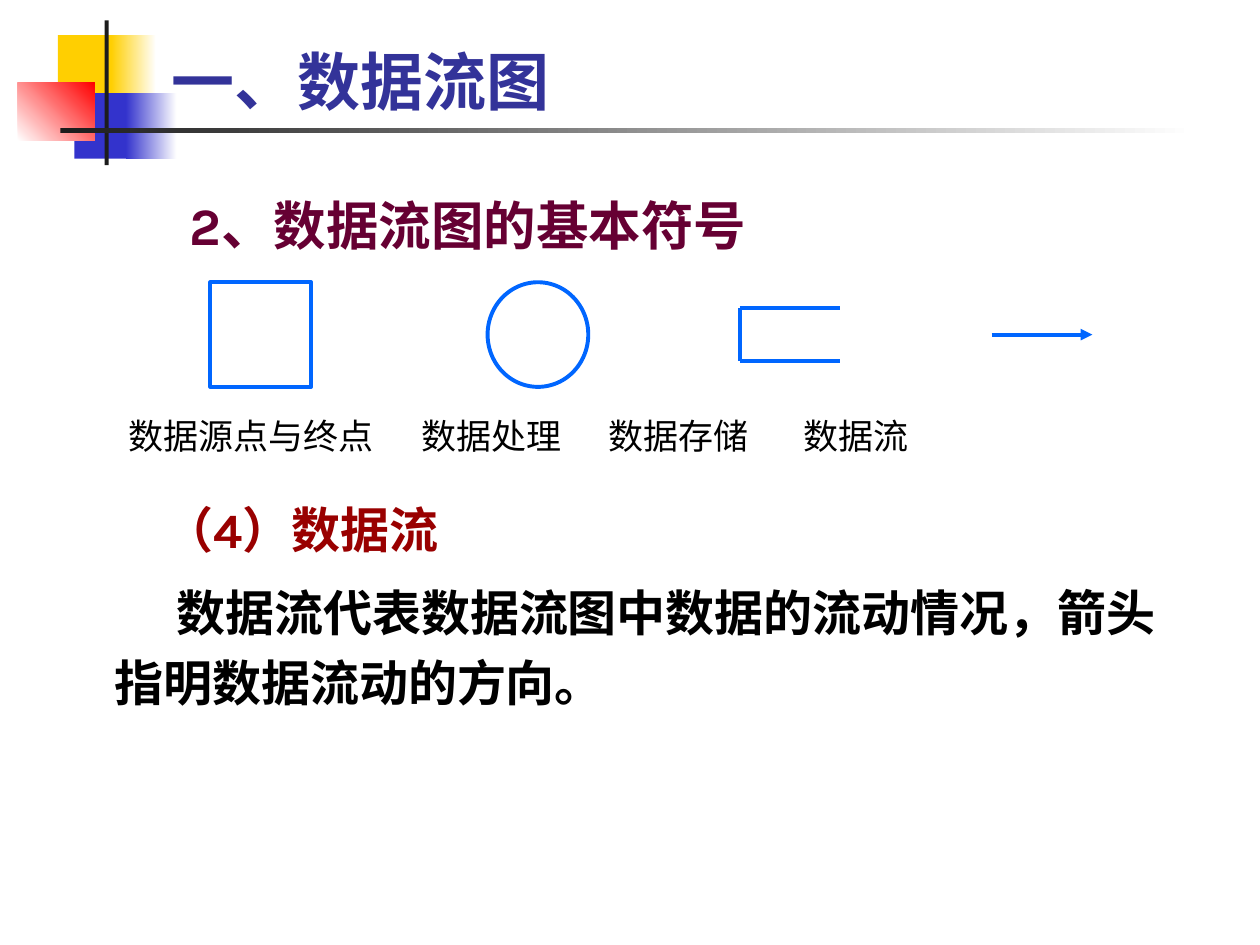
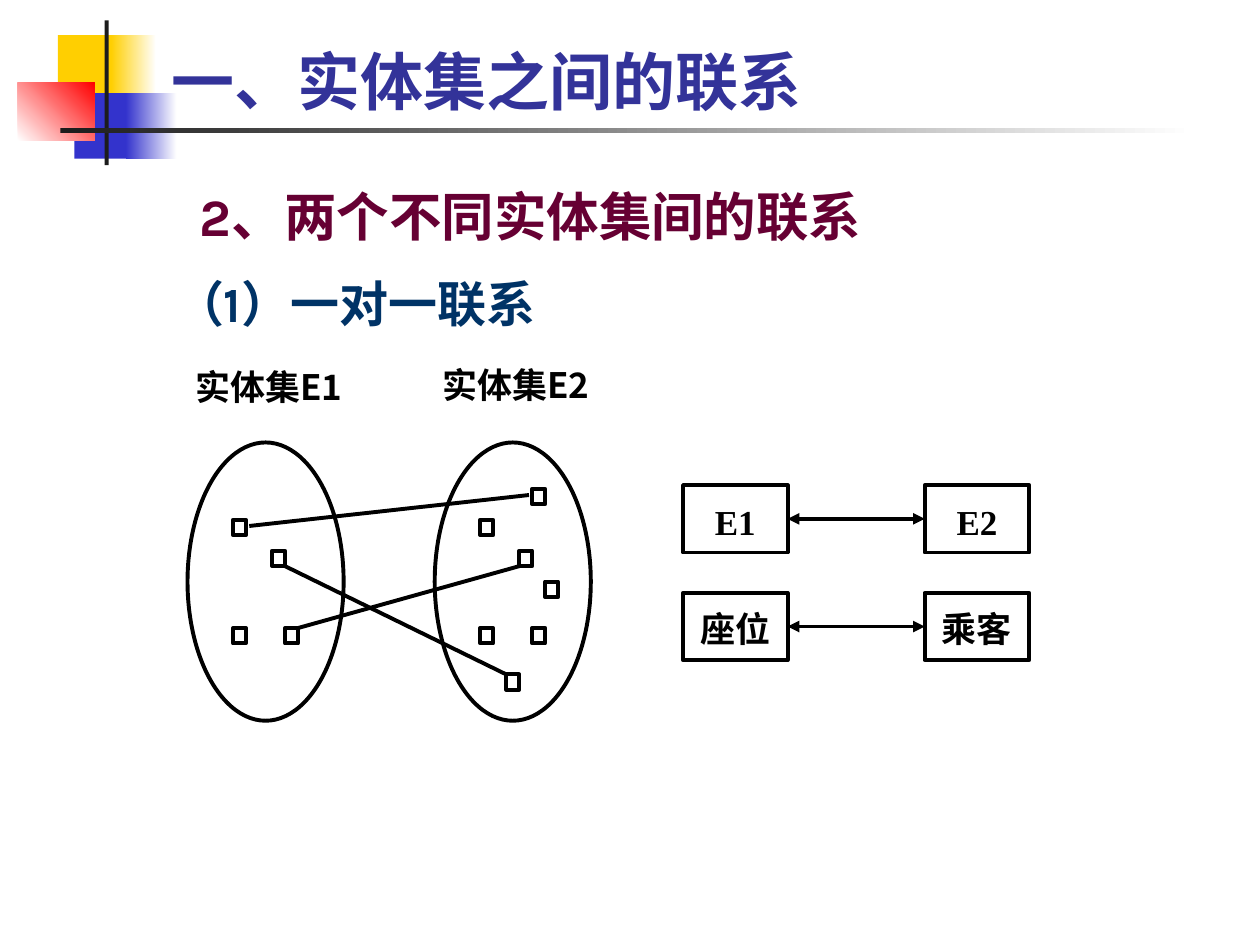
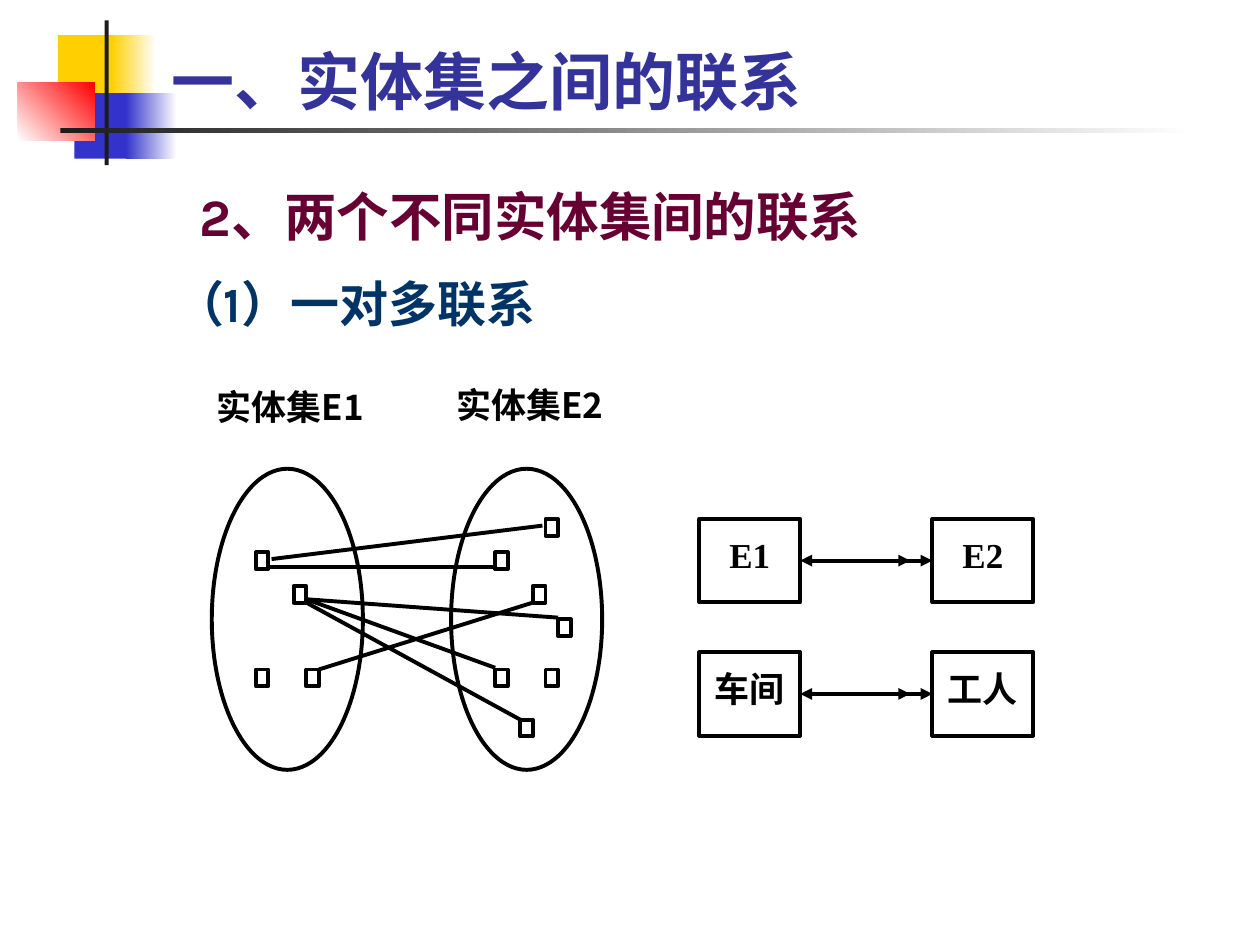
from lxml import etree
from pptx import Presentation
from pptx.dml.color import RGBColor
from pptx.enum.shapes import MSO_CONNECTOR, MSO_SHAPE
from pptx.enum.text import MSO_ANCHOR, PP_ALIGN
from pptx.oxml.ns import qn
from pptx.util import Cm, Pt

RECT, OVAL = MSO_SHAPE.RECTANGLE, MSO_SHAPE.OVAL
LINE = MSO_CONNECTOR.STRAIGHT
LEFT, MID = PP_ALIGN.LEFT, PP_ALIGN.CENTER
TOP, BASE = MSO_ANCHOR.TOP, MSO_ANCHOR.BOTTOM

INK = {
    "black": "000000", "white": "FFFFFF", "dark": "1C1C1C",
    "gold": "FFCF01", "blue": "3333CC", "red": "FF0000",
    "title": "333399", "plum": "660033", "brick": "990000",
    "navy": "003366", "sky": "0066FF",
}
KARLA, SANS, TIMES = "Karla", "Noto Sans CJK SC", "Times New Roman"
PEN = 2.25
PAD = (0.25, 0.13, 0.25, 0.13)

# Points of each entity set, on a grid of 12 by 18 cells per oval
COLS, ROWS, STEP = 12, 18, 19
FIRST = [(3.5, 5), (6.5, 7), (7.5, 12), (3.5, 12)]
SECOND = FIRST + [(8.5, 9), (7.5, 3), (5.5, 15)]
PAIRS = [(4.75, 5.4, 26.25, 3.4), (7.5, 8, 24.5, 15), (8.5, 12, 25.5, 8)]
MORE = [(4.5, 5.85, 22.5, 5.85), (7.5, 7.8, 22.5, 11.9),
        (7.5, 7.8, 27.5, 8.9)]


def tint(name):
    return RGBColor.from_string(INK[name])


# Basic parts
def add_run(para, text, size, ink, font=KARLA, bold=True):
    run = para.add_run()
    run.text = text
    run.font.size = Pt(size)
    run.font.bold = bold
    run.font.name = font
    run.font.color.rgb = tint(ink)
    face = etree.SubElement(run.font._element, qn("a:ea"))
    face.set("typeface", SANS)


def set_frame(frame, pad=PAD, anchor=TOP):
    frame.word_wrap = True
    frame.vertical_anchor = anchor
    (frame.margin_left, frame.margin_top,
     frame.margin_right, frame.margin_bottom) = map(Cm, pad)
    return frame


def add_text(slide, box, pad=PAD):
    area = slide.shapes.add_textbox(*map(Cm, box))
    return set_frame(area.text_frame, pad)


def indent(para, left, first=0, space=1.2, before=0):
    props = para._p.get_or_add_pPr()
    props.set("marL", str(Cm(left)))
    props.set("indent", str(Cm(first)))
    para.line_spacing = space
    para.space_before = Pt(before)


def add_form(slide, kind, box, fill=None, line=None):
    form = slide.shapes.add_shape(kind, *map(Cm, box))
    form.shadow.inherit = False
    if fill:
        form.fill.solid()
        form.fill.fore_color.rgb = tint(fill)
    else:
        form.fill.background()
    if line:
        form.line.color.rgb = tint(line)
        form.line.width = Pt(PEN)
    else:
        form.line.fill.background()
    return form


def add_line(slide, ends, ink="black", heads=()):
    link = slide.shapes.add_connector(LINE, *map(Cm, ends))
    link.line.color.rgb = tint(ink)
    link.line.width = Pt(PEN)
    props = link.element.spPr
    for head in heads:
        tip = etree.SubElement(props.find(qn("a:ln")), qn(head))
        tip.set("type", "triangle")
    etree.SubElement(props, qn("a:effectLst"))
    return link


# Shared look: colour blocks on the layout, title on each slide
def draw_bands(slide):
    bands = [
        ((1.17, 0.71, 1.22, 1.32), "gold", None, 0),
        ((2.24, 0.71, 0.91, 1.32), "gold", "white", 0),
        ((1.5, 1.88, 1.17, 1.32), "blue", None, 0),
        ((2.54, 1.88, 1.02, 1.32), "blue", "white", 0),
        ((0.36, 1.67, 1.55, 1.17), "white", "red", 45),
        ((2.11, 0.41, 0.08, 2.92), "dark", None, 0),
        ((1.22, 2.59, 22.86, 0.1), "dark", "white", 0),
    ]
    tree = slide.slide_layout.shapes.element
    for num, (box, ink, fade, turn) in enumerate(bands, 20):
        band = add_form(slide, RECT, box, ink)
        if fade:
            band.fill.gradient()
            band.fill.gradient_angle = turn
            for stop, name in zip(band.fill.gradient_stops, (ink, fade)):
                stop.color.rgb = tint(name)
        band.element.nvSpPr.cNvPr.set("id", str(num))
        tree.append(band.element)


def add_slide(deck, text):
    slide = deck.slides.add_slide(deck.slide_layouts[5])
    title = slide.shapes.title
    title.left, title.top, title.width, title.height = map(
        Cm, (3.2, 0.2, 21.64, 2.31))
    para = set_frame(title.text_frame, anchor=BASE).paragraphs[0]
    para.alignment = LEFT
    add_run(para, text, 36, "title")
    return slide


def add_head(frame, text):
    para = frame.paragraphs[0]
    indent(para, 2.48)
    add_run(para, text, 30, "plum")


# Data flow symbols with their captions
def draw_signs(slide, box):
    left, top, width, high = box
    side = 2.03
    last = left + width - side
    pitch = 5.08
    store = last - pitch
    for kind, x in ((RECT, left), (OVAL, store - pitch)):
        add_form(slide, kind, (x, top, side, high), "white", "sky")
    upper, lower = top + high / 4, top + high * 0.75
    for y in (upper, lower):
        add_line(slide, (store, y, store + side, y), "sky")
    add_line(slide, (store, upper, store, lower), "sky")
    mid = top + high / 2
    add_line(slide, (last, mid, last + side, mid), "sky", ["a:tailEnd"])

    names = add_text(slide, (left - 1.9, top + 2.54, 20.75, 1.12))
    para = names.paragraphs[0]
    tabs = etree.SubElement(para._p.get_or_add_pPr(), qn("a:tabLst"))
    for place in (5.91, 9.68, 13.61):
        tab = etree.SubElement(tabs, qn("a:tab"))
        tab.set("pos", str(Cm(place)))
        tab.set("algn", "l")
    add_run(para, "数据源点与终点\t数据处理\t数据存储\t数据流",
            20, "black", SANS, False)


def flow_slide(deck):
    slide = add_slide(deck, "一、数据流图")
    draw_bands(slide)
    add_head(add_text(slide, (1.09, 3.51, 23.01, 1.83)),
             "2、数据流图的基本符号")
    draw_signs(slide, (4.24, 5.69, 17.78, 2.11))
    body = add_text(slide, (1.09, 9.7, 23.01, 8.43))
    para = body.paragraphs[0]
    indent(para, 1.98)
    add_run(para, "（4）数据流", 28, "brick")
    para = body.add_paragraph()
    indent(para, 0.97, 1.25, before=7)
    add_run(para, "数据流代表数据流图中数据的流动情况，箭头指明数据流动的方向。",
            28, "black")


# Two ovals with points and the lines between them
def draw_sets(slide, box, links):
    left, top, width, high = box
    col, row = width / (COLS + STEP), high / ROWS
    for num, spots in enumerate((FIRST, SECOND)):
        x = left + num * STEP * col
        label = add_text(slide, (x - 1.75 * col, top - (5 + num / 8) * row,
                                 16 * col, 5 * row), (0, 0, 0, 0))
        para = label.paragraphs[0]
        para.alignment = MID
        add_run(para, f"实体集E{num + 1}", 20, "black", SANS)
        add_form(slide, OVAL, (x, top, COLS * col, high), line="black")
        for across, down in spots:
            add_form(slide, RECT, (x + across * col, top + down * row,
                                   col, row), line="black")
    for x1, y1, x2, y2 in links:
        add_line(slide, (left + x1 * col, top + y1 * row,
                         left + x2 * col, top + y2 * row))


# Rows of two boxes joined by an arrow
def draw_pairs(slide, box, rows, many):
    left, top, width, high = box
    wide, tall = width * 0.302, high * 0.385
    right = left + width - wide
    for num, names in enumerate(rows):
        y = top + num * (high - tall)
        cells = []
        for x, name in zip((left, right), names):
            cell = add_form(slide, RECT, (x, y, wide, tall), line="black")
            frame = set_frame(cell.text_frame, (0, 0.3, 0, 0))
            para = frame.paragraphs[0]
            para.alignment = MID
            add_run(para, name, 20, "black", TIMES)
            cells.append(cell)
        mid = y + tall / 2
        link = add_line(slide, (left + wide, mid, right, mid),
                        heads=["a:headEnd", "a:tailEnd"])
        link.begin_connect(cells[0], 3)
        link.end_connect(cells[1], 1)
        if many:
            add_line(slide, (left + wide + 0.45, mid, right - 0.45, mid),
                     heads=["a:tailEnd"])


def link_slide(deck, kind, sets, links, pairs, names, many=False):
    slide = add_slide(deck, "一、实体集之间的联系")
    body = add_text(slide, (1.3, 3.33, 22.81, 14.81))
    add_head(body, "2、两个不同实体集间的联系")
    para = body.add_paragraph()
    indent(para, 1.98, space=1.35, before=3.5)
    add_run(para, kind, 28, "navy")
    draw_sets(slide, sets, links)
    draw_pairs(slide, pairs, [("E1", "E2"), names], many)


def main():
    deck = Presentation()
    deck.slide_width, deck.slide_height = Cm(25.4), Cm(19.05)
    flow_slide(deck)
    link_slide(deck, "（1）一对一联系", (3.78, 8.92, 8.13, 5.61), PAIRS,
               (13.77, 9.78, 6.98, 3.53), ("座位", "乘客"))
    link_slide(deck, "（1）一对多联系", (4.27, 9.45, 7.87, 6.07), PAIRS + MORE,
               (14.1, 10.46, 6.73, 4.37), ("车间", "工人"), True)
    deck.save("out.pptx")


if __name__ == "__main__":
    main()
